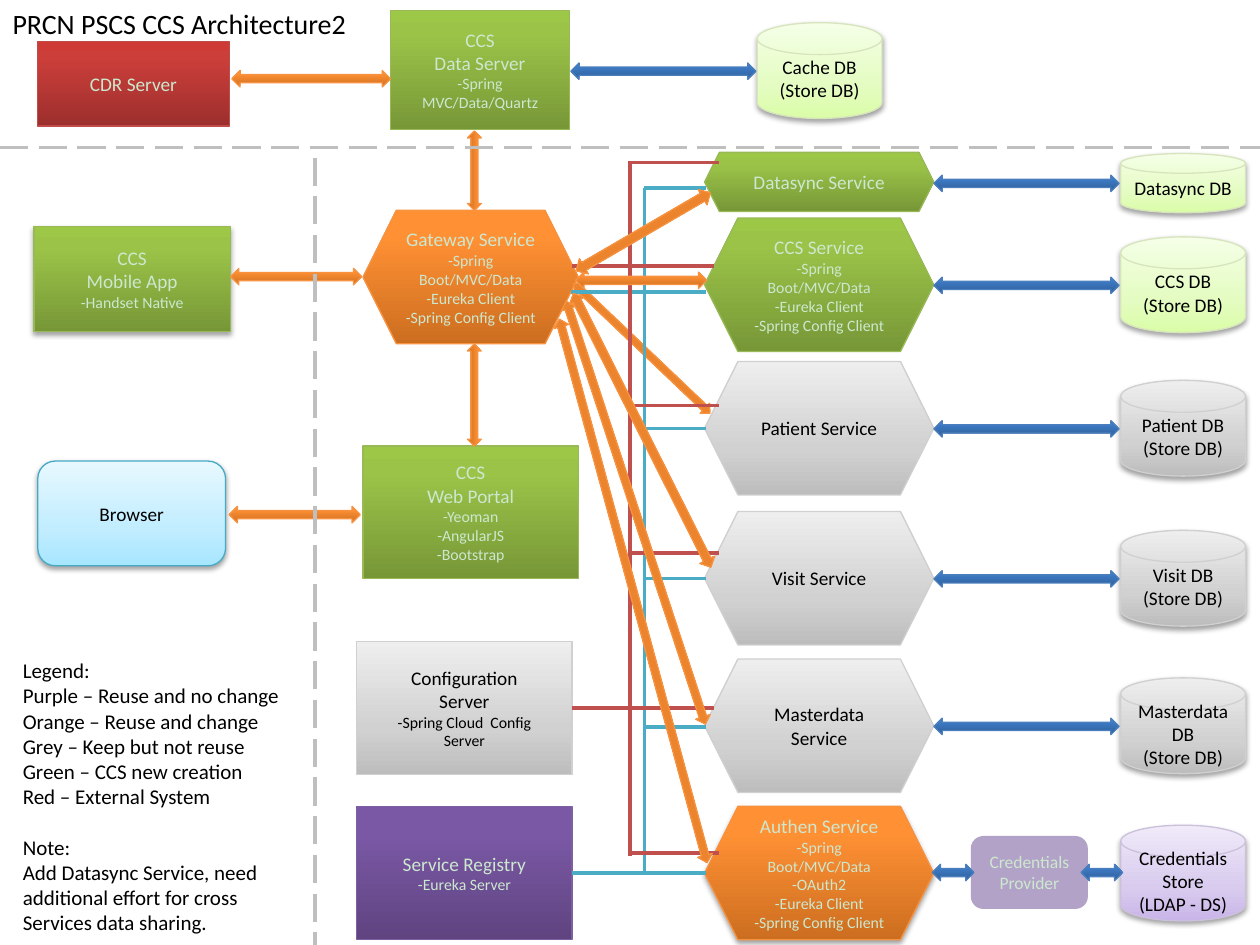
"""Build the CCS service architecture slide."""
from copy import deepcopy
from dataclasses import dataclass

from lxml.etree import SubElement
from pptx import Presentation
from pptx.dml.color import RGBColor
from pptx.enum.dml import MSO_LINE
from pptx.enum.shapes import MSO_CONNECTOR, MSO_SHAPE
from pptx.enum.text import MSO_ANCHOR, MSO_AUTO_SIZE, PP_ALIGN
from pptx.oxml.ns import qn
from pptx.util import Pt


@dataclass(frozen=True)
class Theme:
    """Colours and type sizes of the slide."""
    font: str = "Calibri"
    dark: str = "000000"
    pale: str = "CCE8CF"
    red: str = "C0504D"
    cyan: str = "4BACC6"
    divider: str = "BFBFBF"
    title: int = 16
    notes: int = 12
    label: int = 11
    small: int = 10
    detail: int = 9


THEME = Theme()
STEEP, SOFT = (0, 0.8, 1), (0, 0.35, 1)
FILLS = {
    "orange": (STEEP, ("CC6E20", "FF9034", "FF9136"), "F69240", THEME.pale),
    "green": (STEEP, ("779737", "9BC348", "9DC746"), "98B955", THEME.pale),
    "purple": (STEEP, ("5F4480", "7B58A6", "7C57A8"), "7D60A0", THEME.pale),
    "red": (STEEP, ("9C2F2D", "CB3E3A", "CE3B37"), "BF4C48", THEME.pale),
    "blue": (STEEP, ("2F5F99", "3D7CC7", "3A7CCB"), "4B7EBC", THEME.pale),
    "grey": (SOFT, ("BDBDBD", "D1D1D1", "EEEEEE"), "D0D0D0", THEME.dark),
    "lime": (SOFT, ("DAFDA7", "E4FCC2", "F5FFE7"), "D7E4BD", THEME.dark),
    "lilac": (SOFT, ("C9B5E8", "D8CBEE", "F0EAF9"), "CCC1DA", THEME.dark),
    "sky": (SOFT, ("A7E6FF", "C1EDFF", "E7F8FF"), "46AAC5", THEME.dark),
    "mauve": ((0, 0.5, 1), ("B3A2C7",) * 3, "B3A2C7", THEME.pale),
}


class Canvas:
    """Draw styled elements on one slide."""

    def __init__(self, slide, theme):
        self.slide, self.theme = slide, theme

    def add_text(self, p, text, size, color):
        r = p.add_run()
        r.text = text
        r.font.name, r.font.size = self.theme.font, Pt(size)
        r.font.color.rgb = RGBColor.from_string(color)

    def add_rows(self, tf, rows, color, align):
        for i, (text, size, gap) in enumerate(rows):
            p = tf.paragraphs[0] if i == 0 else tf.add_paragraph()
            p.alignment, p.space_before = align, Pt(gap)
            self.add_text(p, text, size, color)

    def shape(self, kind, box, fill, adj=None, rot=0, shadow=False):
        s = self.slide.shapes.add_shape(kind, *map(Pt, box))
        s.rotation = rot
        if adj is not None:
            s.adjustments[0] = adj
        places, colors, edge, _ = FILLS[fill]
        s.fill.gradient()
        s.fill.gradient_angle = 90
        gs = s._element.spPr.find(".//" + qn("a:gs"))
        gs.addnext(deepcopy(gs))
        for stop, place, color in zip(s.fill.gradient_stops, places, colors):
            stop.position, stop.color.rgb = place, RGBColor.from_string(color)
        s.line.color.rgb, s.line.width = RGBColor.from_string(edge), Pt(0.75)
        s.shadow.inherit = False
        if shadow:
            effects = s._element.spPr.find(qn("a:effectLst"))
            outer = SubElement(effects, qn("a:outerShdw"), blurRad=str(Pt(3.1)),
                               dist=str(Pt(1.7)), dir="5400000", rotWithShape="0")
            black = SubElement(outer, qn("a:srgbClr"), val=self.theme.dark)
            SubElement(black, qn("a:alpha"), val="36000")
        return s

    def node(self, kind, box, fill, heads, details=(), adj=None, shadow=False, size=None):
        s = self.shape(kind, box, fill, adj, shadow=shadow)
        tf = s.text_frame
        tf.word_wrap, tf.vertical_anchor = True, MSO_ANCHOR.MIDDLE
        rows = [(t, size or self.theme.label, 0) for t in heads]
        rows += [(t, self.theme.detail, 0) for t in details]
        self.add_rows(tf, rows, FILLS[fill][3], PP_ALIGN.CENTER)

    def disk(self, x, y, fill, heads, h=54.7):
        self.node(MSO_SHAPE.FLOWCHART_MAGNETIC_DISK, (x, y, 71.3, h), fill, heads, shadow=True)

    def arrow(self, x, y, w, fill="orange", h=9.4, rot=0):
        self.shape(MSO_SHAPE.LEFT_RIGHT_ARROW, (x, y, w, h), fill, rot=rot)

    def line(self, x1, y1, x2, y2, color, dashed=False):
        c = self.slide.shapes.add_connector(MSO_CONNECTOR.STRAIGHT, *map(Pt, (x1, y1, x2, y2)))
        c.line.color.rgb, c.line.width = RGBColor.from_string(color), Pt(2)
        if dashed:
            c.line.dash_style = MSO_LINE.LONG_DASH
        SubElement(c._element.spPr, qn("a:effectLst"))

    def placeholder(self, idx, box, rows, wrap=True):
        s = self.slide.placeholders[idx]
        s.left, s.top, s.width, s.height = map(Pt, box)
        tf = s.text_frame
        tf.word_wrap, tf.auto_size = wrap, MSO_AUTO_SIZE.NONE
        tf.vertical_anchor = MSO_ANCHOR.TOP
        self.add_rows(tf, rows, self.theme.dark, PP_ALIGN.LEFT)
        for p in tf.paragraphs:
            pPr = p._p.get_or_add_pPr()
            pPr.set("marL", "0")
            pPr.set("indent", "0")
            SubElement(pPr, qn("a:buNone"))


prs = Presentation()
prs.slide_width, prs.slide_height = Pt(720), Pt(540)
c = Canvas(prs.slides.add_slide(prs.slide_layouts[1]), THEME)
HEX, RECT, ROUND = MSO_SHAPE.HEXAGON, MSO_SHAPE.RECTANGLE, MSO_SHAPE.ROUNDED_RECTANGLE

c.placeholder(0, (0, 0, 207.4, 26.6), [("PRCN PSCS CCS Architecture2", THEME.title, 0)], wrap=False)
legend = ["Legend:", "Purple – Reuse and no change", "Orange – Reuse and change",
          "Grey – Keep but not reuse", "Green – CCS new creation", "Red – External System",
          "Note:", "Add Datasync Service, need additional effort for cross Services data sharing."]
c.placeholder(1, (5.8, 372.2, 167.8, 167),
              [(t, THEME.notes, 14.4 if t == "Note:" else 0) for t in legend])

boot = ["-Spring Boot/MVC/Data", "-Eureka Client", "-Spring Config Client"]
authen = [boot[0], "-OAuth2", *boot[1:]]
nodes = [
    ((207.4, 120.2, 123.1, 76.3), "orange", ["Gateway Service"], boot, None, False),
    ((19.4, 129.6, 112.3, 59.8), "green", ["CCS", "Mobile App"], ["-Handset Native"], 0, True),
    ((207.4, 254.9, 123.1, 75.6), "green", ["CCS", "Web Portal"],
     ["-Yeoman", "-AngularJS", "-Bootstrap"], 0, False),
    ((203.8, 366.5, 123.1, 76.3), "grey", ["Configuration Server"],
     ["-Spring Cloud  Config Server"], 0, False),
    ((203.8, 460.8, 123.1, 76.3), "purple", ["Service Registry"], ["-Eureka Server"], 0, False),
]
for box, fill, heads, details, adj, shadow in nodes:
    c.node(HEX, box, fill, heads, details, adj, shadow)
c.node(RECT, (223.2, 5.8, 102.2, 68.4), "green", ["CCS", "Data Server"], ["-Spring MVC/Data/Quartz"])
c.node(RECT, (21.6, 23.8, 109.4, 48.2), "red", ["CDR Server"])
c.node(ROUND, (21.6, 263.5, 107.3, 59.8), "sky", ["Browser"], shadow=True)
c.node(ROUND, (555.1, 478.1, 66.2, 41), "mauve", ["Credentials Provider"], size=THEME.small)

store = "(Store DB)"
services = [
    (87.1, "green", "Datasync Service", [], "lime", ["Datasync DB"]),
    (124.6, "green", "CCS Service", boot, "lime", ["CCS DB", store]),
    (206.6, "grey", "Patient Service", [], "grey", ["Patient DB", store]),
    (292.3, "grey", "Visit Service", [], "grey", ["Visit DB", store]),
    (376.6, "grey", "Masterdata Service", [], "grey", ["Masterdata DB", store]),
    (460.8, "orange", "Authen Service", authen, "lilac", ["Credentials Store", "(LDAP - DS)"]),
]
for y, fill, name, details, db_fill, db in services:
    short, last = len(db) == 1, db_fill == "lilac"
    c.node(HEX, (402.6, y, 131, 33.8 if short else 76.3), fill, [name], details, shadow=last)
    c.disk(640.4, y + (0.7 if short else 10.8), db_fill, db, 33.8 if short else 54.7)
    if not last:
        c.arrow(533.7, y + (13 if short else 33.8), 105.8, "blue")
for x in (532.8, 617.8):
    c.arrow(x, 493.9, 23.8, "blue")
c.disk(432.7, 13, "lime", ["Cache DB", store])
c.arrow(326.2, 36, 105.8, "blue")

c.arrow(313.2, 195.1, 107.3, h=7.9, rot=43.6)
c.line(368.2, 107.3, 368.2, 499, THEME.cyan)
for x, y in [(368, 107.3), (326.2, 167), (368, 244.8), (368, 330.5), (368, 415.4), (326.9, 499)]:
    c.line(x, y, 403.2, y, THEME.cyan)
c.line(360, 92.9, 360, 488.9, THEME.red)
for x, y in [(358.9, 92.9), (326.9, 151.9), (358.9, 231.8), (358.9, 316.1), (326.9, 404.6),
             (358.9, 487.4)]:
    c.line(x, y, 408.2 if x < 350 else 411, y, THEME.red)

for x, y, w, h, rot in [
    (329, 155.5, 74.9, 9.4, 0), (236.2, 288.7, 254.2, 8.6, 71.8),
    (279.4, 241.2, 175, 9.4, 63.3), (200.9, 333.4, 321.8, 8.6, 74.8),
    (323.3, 127.4, 88.6, 10.1, 329.8), (248.4, 93.6, 45.4, 7.9, 90),
    (241.9, 221.8, 58.3, 7.9, 90), (131.8, 153.4, 74.9, 9.4, 0),
    (131, 289.4, 74.9, 9.4, 0), (132.5, 40.3, 90.7, 9.4, 0),
]:
    c.arrow(x, y, w, h=h, rot=rot)
c.line(180, 90, 180, 540, THEME.divider, dashed=True)
c.line(0, 84.2, 720, 84.2, THEME.divider, dashed=True)

prs.save("out.pptx")
